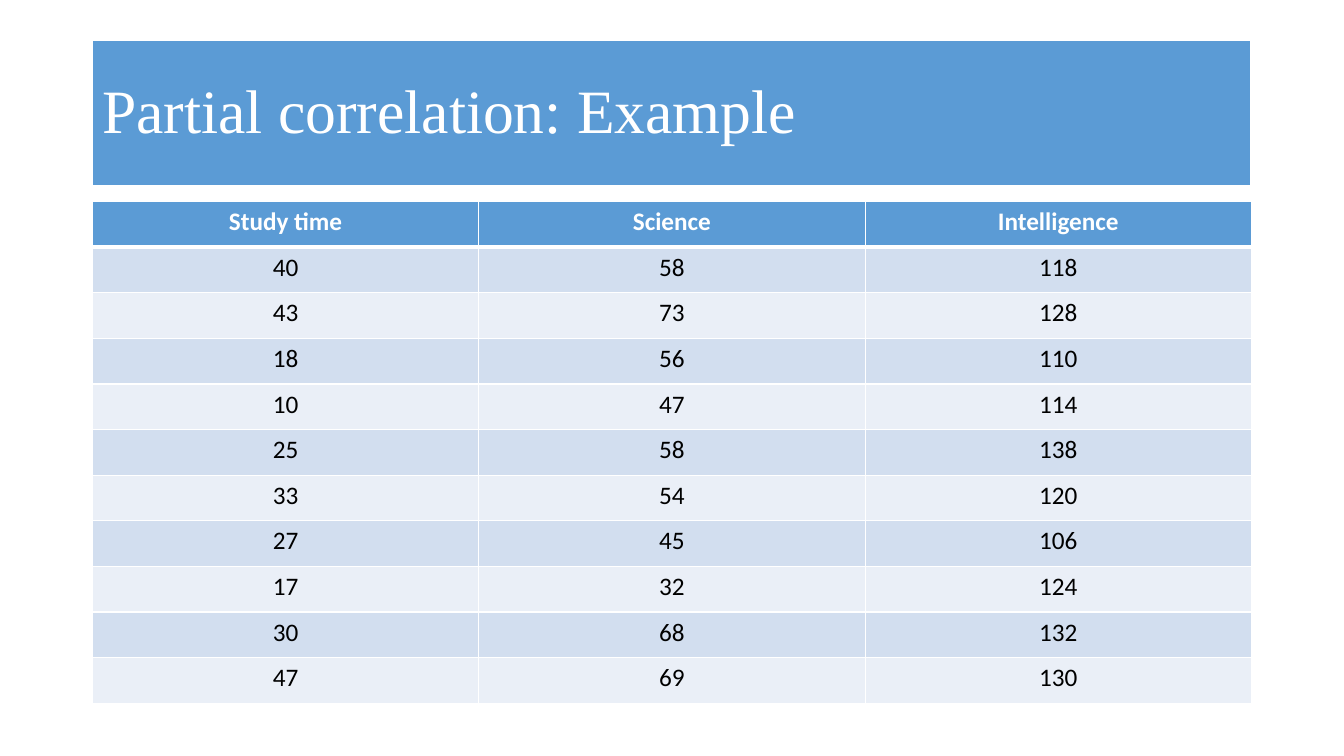
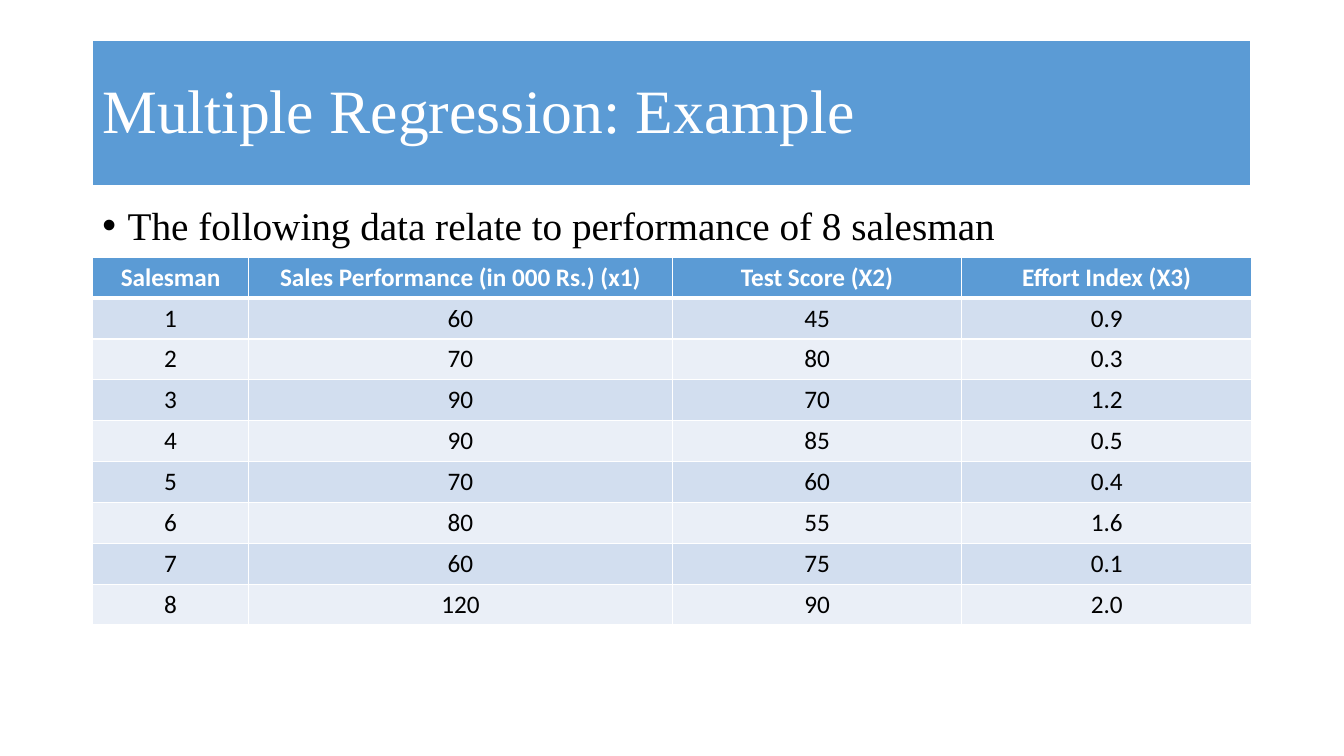
from lxml import etree
from pptx import Presentation
from pptx.dml.color import RGBColor
from pptx.enum.shapes import MSO_SHAPE
from pptx.enum.text import MSO_ANCHOR, PP_ALIGN
from pptx.oxml.ns import qn
from pptx.util import Cm, Pt

RECT = MSO_SHAPE.RECTANGLE
MIDDLE, TOP = MSO_ANCHOR.MIDDLE, MSO_ANCHOR.TOP
LEFT, CENTER, JUSTIFY = PP_ALIGN.LEFT, PP_ALIGN.CENTER, PP_ALIGN.JUSTIFY

# Content
STUDY = [
    ("Study time", "Science", "Intelligence"),
    (40, 58, 118), (43, 73, 128), (18, 56, 110), (10, 47, 114), (25, 58, 138),
    (33, 54, 120), (27, 45, 106), (17, 32, 124), (30, 68, 132), (47, 69, 130),
]
SALES = [
    ("Salesman", "Sales Performance (in 000 Rs.) (x1)", "Test Score (X2)",
     "Effort Index (X3)"),
    (1, 60, 45, 0.9), (2, 70, 80, 0.3), (3, 90, 70, 1.2), (4, 90, 85, 0.5),
    (5, 70, 60, 0.4), (6, 80, 55, 1.6), (7, 60, 75, 0.1), (8, 120, 90, 2.0),
]
# Title, bullet, rows, column shares, table top and row height in cm
SLIDES = [
    ("Partial correlation: Example", None, STUDY, (1, 1, 1), 5.08, 1.15),
    ("Multiple Regression: Example",
     "The following data relate to performance of 8 salesman",
     SALES, (3.94, 10.67, 7.3, 7.3), 6.48, 1.03),
]

# Shared style
BLUE, WHITE, BLACK = "5B9BD5", "FFFFFF", "000000"
BANDS = ("D2DEEF", "EAEFF7")
SERIF, SANS = "Times New Roman", "Calibri"
EDGE, WIDE = 2.33, 29.21
BODY_TOP = 5.08


def paint(item, color):
    item.fill.solid()
    item.fill.fore_color.rgb = RGBColor.from_string(color)


def write(frame, text, size, face, color, align, bold=False):
    para = frame.paragraphs[0]
    para.text = text
    para.alignment = align
    font = para.font
    font.size, font.name, font.bold = Pt(size), face, bold
    font.color.rgb = RGBColor.from_string(color)
    return para


def add_title(slide, text):
    band = slide.shapes.add_shape(RECT, Cm(EDGE), Cm(1.02), Cm(WIDE), Cm(3.68))
    band.shadow.inherit = False
    paint(band, BLUE)
    band.line.color.rgb = RGBColor.from_string(WHITE)
    band.line.width = Pt(1.5)
    band.text_frame.vertical_anchor = MIDDLE
    write(band.text_frame, text, 44, SERIF, WHITE, LEFT).line_spacing = 0.9


def add_bullet(slide, text):
    box = slide.shapes.add_textbox(Cm(EDGE), Cm(BODY_TOP), Cm(WIDE), Cm(12.09))
    box.text_frame.word_wrap = True
    box.text_frame.vertical_anchor = TOP
    para = write(box.text_frame, text, 28, SERIF, BLACK, JUSTIFY)
    para.line_spacing, para.space_before = 0.9, Pt(10)
    props = para._p.get_or_add_pPr()
    indent = Cm(0.64)
    props.set("marL", str(indent))
    props.set("indent", str(-indent))
    etree.SubElement(props, qn("a:buFont")).set("typeface", "Arial")
    etree.SubElement(props, qn("a:buChar")).set("char", "•")


def add_rules(cell, above, below):
    props = cell._tc.get_or_add_tcPr()
    for side, width in (("L", 1), ("R", 1), ("T", above), ("B", below)):
        line = etree.SubElement(props, qn("a:ln" + side), w=str(Pt(width)))
        fill = etree.SubElement(line, qn("a:solidFill"))
        etree.SubElement(fill, qn("a:srgbClr"), val=WHITE)


def add_grid(slide, rows, shares, top, high):
    table = slide.shapes.add_table(
        len(rows), len(shares), Cm(EDGE), Cm(top), Cm(WIDE),
        Cm(high * len(rows))).table
    for col, share in zip(table.columns, shares):
        col.width = Cm(WIDE * share / sum(shares))
    for r, row in enumerate(rows):
        table.rows[r].height = Cm(high)
        head = r == 0
        for c, value in enumerate(row):
            cell = table.cell(r, c)
            add_rules(cell, 3 if r == 1 else 1, 3 if head else 1)
            paint(cell, BLUE if head else BANDS[(r - 1) % 2])
            write(cell.text_frame, str(value), 18, SANS,
                  WHITE if head else BLACK, CENTER, head)


# Build
deck = Presentation()
deck.slide_width, deck.slide_height = Cm(33.87), Cm(19.05)
for title, bullet, rows, shares, top, high in SLIDES:
    slide = deck.slides.add_slide(deck.slide_layouts[6])
    add_title(slide, title)
    if bullet:
        add_bullet(slide, bullet)
    add_grid(slide, rows, shares, top, high)
deck.save("out.pptx")
